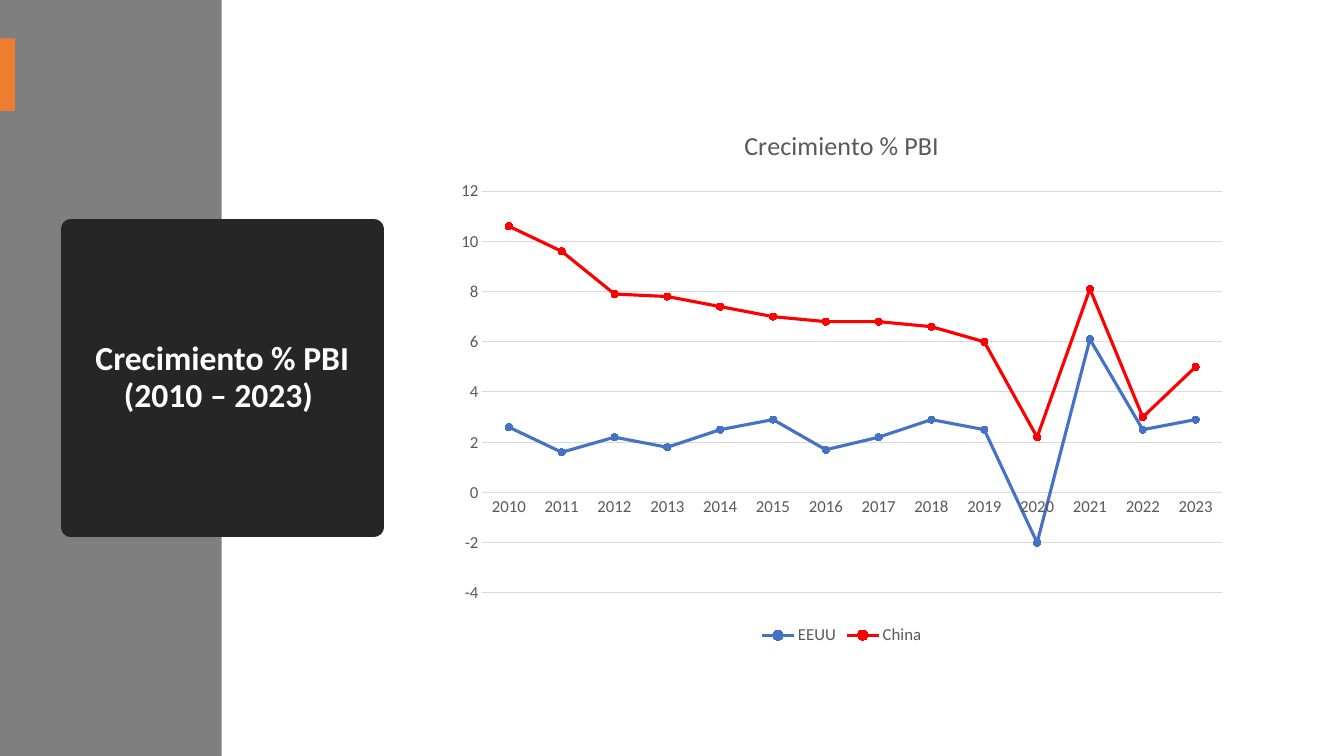
from pptx import Presentation
from pptx.chart.data import CategoryChartData
from pptx.dml.color import RGBColor
from pptx.enum.chart import XL_CHART_TYPE, XL_LEGEND_POSITION, XL_MARKER_STYLE, XL_TICK_MARK
from pptx.enum.shapes import MSO_SHAPE
from pptx.enum.text import MSO_ANCHOR, MSO_AUTO_SIZE, PP_ALIGN
from pptx.oxml import parse_xml
from pptx.oxml.ns import nsdecls
from pptx.util import Pt

GRAY = RGBColor(0x7F, 0x7F, 0x7F)
DARK = RGBColor(0x26, 0x26, 0x26)
ORANGE = RGBColor(0xED, 0x7D, 0x31)
WHITE = RGBColor(0xFF, 0xFF, 0xFF)
TEXT = RGBColor(0x59, 0x59, 0x59)
GRID = RGBColor(0xD9, 0xD9, 0xD9)
BLUE = RGBColor(0x44, 0x72, 0xC4)
RED = RGBColor(0xFF, 0x00, 0x00)
FACE = "Calibri"

HEADING = "Crecimiento % PBI (2010 – 2023) "
CAPTION = "Crecimiento % PBI"
YEARS = [str(year) for year in range(2010, 2024)]
GROWTH = [
    ("EEUU", BLUE, (2.6, 1.6, 2.2, 1.8, 2.5, 2.9, 1.7, 2.2, 2.9, 2.5, -2, 6.1, 2.5, 2.9)),
    ("China", RED, (10.6, 9.6, 7.9, 7.8, 7.4, 7, 6.8, 6.8, 6.6, 6, 2.2, 8.1, 3, 5)),
]
BAND = (0, 0, 158.4, 540)
DISC = (50.4, 163.5, 216.7, 213.1)
TAB = (0, 27.5, 10.8, 51.8)
PLOT = (318.3, 75.6, 565.9, 388.1)


def add_block(slide, box, color):
    block = slide.shapes.add_shape(MSO_SHAPE.RECTANGLE, *map(Pt, box))
    block.shadow.inherit = False
    block.fill.solid()
    block.fill.fore_color.rgb = color
    block.line.fill.background()


def add_title(slide):
    title = slide.shapes.title
    slide.shapes._spTree.append(title._element)
    title.left, title.top, title.width, title.height = map(Pt, DISC)
    title._element.spPr.append(
        parse_xml(f'<a:prstGeom {nsdecls("a")} prst="ellipse"><a:avLst/></a:prstGeom>'))
    title.fill.solid()
    title.fill.fore_color.rgb = DARK
    title.line.color.rgb = DARK
    title.line.width = Pt(13.75)
    frame = title.text_frame
    frame.text = HEADING
    frame.word_wrap = True
    frame.auto_size = MSO_AUTO_SIZE.NONE
    frame.vertical_anchor = MSO_ANCHOR.MIDDLE
    para = frame.paragraphs[0]
    para.alignment = PP_ALIGN.CENTER
    para.line_spacing = 0.9
    para.space_after = Pt(6)
    set_font(para.font, 24, WHITE, True)


def set_font(font, size, color, bold=False):
    font.name = FACE
    font.size = Pt(size)
    font.bold = bold
    font.color.rgb = color


def add_plot(slide):
    data = CategoryChartData()
    data.categories = YEARS
    for name, _, rates in GROWTH:
        data.add_series(name, rates)
    chart = slide.shapes.add_chart(
        XL_CHART_TYPE.LINE_MARKERS, *map(Pt, PLOT), data).chart
    set_font(chart.font, 12, TEXT)
    chart.has_title = True
    chart.chart_title.include_in_layout = False
    chart.chart_title.text_frame.text = CAPTION
    set_font(chart.chart_title.text_frame.paragraphs[0].font, 18.6, TEXT)
    chart.has_legend = True
    chart.legend.position = XL_LEGEND_POSITION.BOTTOM
    chart.legend.include_in_layout = False
    set_font(chart.legend.font, 12, TEXT)

    years, rates = chart.category_axis, chart.value_axis
    for axis in (years, rates):
        axis.major_tick_mark = axis.minor_tick_mark = XL_TICK_MARK.NONE
        set_font(axis.tick_labels.font, 12, TEXT)
    rates.minimum_scale, rates.maximum_scale, rates.major_unit = -4, 12, 2
    rates.format.line.fill.background()
    for line in (years.format.line, rates.major_gridlines.format.line):
        line.color.rgb = GRID
        line.width = Pt(0.75)

    chart.plots[0].vary_by_categories = False
    for series, (_, color, _) in zip(chart.plots[0].series, GROWTH):
        series.smooth = False
        series.format.line.color.rgb = color
        series.format.line.width = Pt(2.25)
        mark = series.marker
        mark.style = XL_MARKER_STYLE.CIRCLE
        mark.size = 5
        mark.format.fill.solid()
        mark.format.fill.fore_color.rgb = color
        mark.format.line.color.rgb = color


def main():
    deck = Presentation()
    deck.slide_width, deck.slide_height = Pt(960), Pt(540)
    slide = deck.slides.add_slide(deck.slide_layouts[5])
    add_block(slide, BAND, GRAY)
    add_title(slide)
    add_block(slide, TAB, ORANGE)
    add_plot(slide)
    deck.save("out.pptx")


if __name__ == "__main__":
    main()
